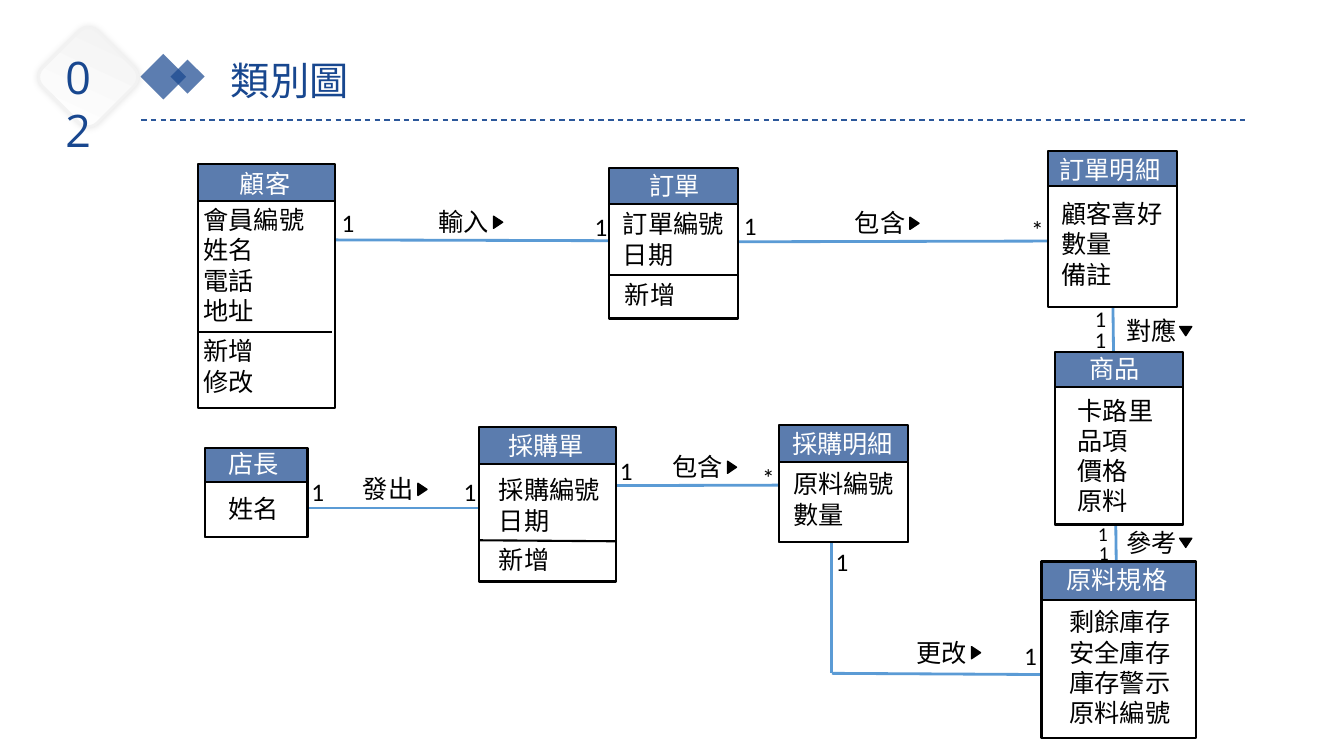
"""Build the class diagram slide of the ordering and purchasing system."""
from lxml.etree import SubElement
from pptx import Presentation
from pptx.dml.color import RGBColor
from pptx.enum.dml import MSO_LINE_DASH_STYLE as Dash
from pptx.enum.shapes import MSO_CONNECTOR as Link, MSO_SHAPE as Preset
from pptx.enum.text import MSO_ANCHOR as Anchor, MSO_AUTO_SIZE as AutoSize, PP_ALIGN as Align
from pptx.oxml.ns import qn
from pptx.util import Inches, Pt

THEME = {
    "navy": RGBColor.from_string("18478F"),
    "header": RGBColor.from_string("5B7CAE"),
    "rule": RGBColor.from_string("2B579A"),
    "link": RGBColor.from_string("5B9BD5"),
    "pale": RGBColor.from_string("F2F2F2"),
    "black": RGBColor.from_string("000000"),
    "white": RGBColor.from_string("FFFFFF"),
    "title": 28, "number": 32, "body": 18, "small": 16, "tiny": 14,
    "heading_font": "Open Sans", "body_font": "Calibri",
}

deck = Presentation()
deck.slide_width, deck.slide_height = Inches(13.33), Inches(7.5)
slide = deck.slides.add_slide(deck.slide_layouts[5])


def add_box(preset, frame, fill, outline=None, weight=0, rotation=0):
    box = slide.shapes.add_shape(preset, *map(Inches, frame))
    box.shadow.inherit = False
    box.rotation = rotation
    box.fill.solid()
    box.fill.fore_color.rgb = THEME[fill]
    if outline:
        box.line.color.rgb = THEME[outline]
        box.line.width = Pt(weight)
    else:
        box.line.fill.background()
    return box


def add_line(ends, color, weight):
    line = slide.shapes.add_connector(Link.STRAIGHT, *map(Inches, ends))
    line.line.color.rgb = THEME[color]
    line.line.width = Pt(weight)
    SubElement(line._element.spPr, qn("a:effectLst"))
    return line


for diamond in [(1.46, 0.6, 0.32, 0.32), (1.74, 0.64, 0.24, 0.24)]:
    accent = add_box(Preset.RECTANGLE, diamond, "navy", rotation=225)
    tint = accent._element.spPr.find(qn("a:solidFill"))[0]
    SubElement(tint, qn("a:alpha"), val="70000")

badge = add_box(Preset.ROUNDED_RECTANGLE, (0.49, 0.38, 0.77, 0.77), "white", "pale", 2, 45)
badge.fill.gradient()
badge.fill.gradient_angle = 110
for stop, (position, shade) in zip(badge.fill.gradient_stops, [(0, "white"), (1, "pale")]):
    stop.position = position
    stop.color.rgb = THEME[shade]
effects = badge._element.spPr.find(qn("a:effectLst"))
glow = SubElement(effects, qn("a:outerShdw"), blurRad=str(Pt(5)), dist="0", dir="0",
                  algn="ctr", rotWithShape="0")
SubElement(SubElement(glow, qn("a:srgbClr"), val="000000"), qn("a:alpha"), val="11000")

add_line((1.4, 1.19, 12.35, 1.19), "rule", 1).line.dash_style = Dash.DASH

associations = [
    (11.03, 2.39, 11.09, 7.02), (8.25, 6.68, 11.74, 6.7), (8.25, 4.7, 8.25, 6.68),
    (6.75, 2.4, 11.1, 2.39), (3.31, 2.38, 6.67, 2.39), (5.2, 4.82, 8.86, 4.81),
    (2.64, 5.04, 4.88, 5.04),
]
for ends in associations:
    add_line(ends, "link", 2)

classes = [
    ("顧客", (1.96, 1.63, 1.36, 1.72), 1.99, 2.06, (2.28, 1.62, 0.72, 0.4),
     "會員編號\n姓名\n電話\n地址", (1.92, 1.98, 1.36, 1.31)),
    ("訂單", (6.04, 1.67, 1.28, 1.1), 2.02, 1.14, (6.34, 1.64, 0.72, 0.4),
     "訂單編號\n日期", (6.08, 2.02, 1.36, 0.71)),
    ("訂單明細", (10.39, 1.5, 1.28, 1.52), 1.85, 1.2, (10.41, 1.48, 1.39, 0.4),
     "顧客喜好\n數量\n備註", (10.43, 1.92, 1.36, 1.01)),
    ("商品", (10.46, 3.49, 1.27, 1.72), 3.84, 1.36, (10.71, 3.46, 0.77, 0.4),
     "卡路里\n品項\n價格\n原料", (10.59, 3.87, 1.24, 1.31)),
    ("原料規格", (10.33, 5.57, 1.53, 1.61), 5.95, 1.37, (10.48, 5.55, 1.28, 0.4),
     "剩餘庫存\n安全庫存\n庫存警示\n原料編號", (10.51, 5.97, 1.22, 1.32)),
    ("店長", (2.03, 4.44, 1.02, 0.89), 4.78, 0.55, (2.17, 4.4, 0.8, 0.4),
     "姓名", (2.17, 4.84, 0.8, 0.4)),
    ("採購明細", (7.73, 4.22, 1.28, 1.16), 4.58, 0.8, (7.76, 4.2, 1.39, 0.4),
     "原料編號數量", (7.77, 4.6, 1.36, 0.71)),
    ("採購單", (4.75, 4.24, 1.36, 1.19), 4.6, 1.17, (4.94, 4.22, 0.98, 0.4),
     "採購編號\n日期", (4.85, 4.66, 1.36, 0.71)),
]
operations = [
    ("新增\n修改", (1.92, 3.28, 0.76, 0.71), (1.96, 3.29, 3.29, 3.29)),
    ("新增", (6.1, 2.72, 0.95, 0.41), (6.04, 2.73, 7.32, 2.73)),
    ("新增", (4.85, 5.35, 0.95, 0.41), (4.75, 5.36, 6.1, 5.37)),
]
verbs = [
    ("輸入", 4.25, 2.0, 90), ("發出", 3.5, 4.65, 90), ("更改", 8.99, 6.27, 90),
    ("對應", 11.07, 3.08, 180), ("包含", 8.38, 2.01, 90), ("包含", 6.57, 4.43, 90),
    ("參考", 11.07, 5.18, 180),
]
multiplicities = [
    ("1", 3.29, 2.01, "body"), ("1", 2.99, 4.68, "body"), ("1", 5.8, 2.05, "body"),
    ("1", 4.5, 4.68, "body"), ("1", 7.28, 2.04, "body"), ("1", 6.05, 4.47, "body"),
    ("*", 10.13, 2.08, "body"), ("1", 8.19, 5.37, "body"), ("1", 10.06, 6.3, "body"),
    ("*", 7.46, 4.54, "body"), ("1", 10.76, 2.98, "small"), ("1", 10.76, 3.19, "small"),
    ("1", 10.79, 5.13, "tiny"), ("1", 10.8, 5.32, "tiny"),
]

heading = "類別圖"
wording = [
    (heading, (2.19, 0.51, 3.8, 0.57), "title", "navy", "heading_font"),
    ("02", (0.55, 0.44, 0.66, 0.64), "number", "navy", "heading_font"),
]
for name, header, body_top, body_height, name_frame, attributes, attribute_frame in classes:
    left, _, width, _ = header
    add_box(Preset.RECTANGLE, header, "header", "black", 1.5)
    add_box(Preset.RECTANGLE, (left, body_top, width, body_height), "white", "black", 1.5)
    wording += [(name, name_frame, "body", "white", "body_font"),
                (attributes, attribute_frame, "body", "black", "body_font")]

for operation, frame, divider in operations:
    add_line(divider, "black", 1.5)
    wording.append((operation, frame, "body", "black", "body_font"))

for verb, left, top, direction in verbs:
    pointer = (left + 0.63, top + 0.16, 0.12, 0.09)
    add_box(Preset.ISOSCELES_TRIANGLE, pointer, "black", "black", 1, direction)
    wording.append((verb, (left, top, 0.79, 0.4), "body", "black", "body_font"))

for count, left, top, size in multiplicities:
    wording.append((count, (left, top, 0.24, 0.4), size, "black", "body_font"))

for words, frame, size, color, font in wording:
    lengths = [Inches(length) for length in frame]
    holder = slide.shapes.title if words == heading else slide.shapes.add_textbox(*lengths)
    for side, length in zip(("left", "top", "width", "height"), lengths):
        setattr(holder, side, length)
    text = holder.text_frame
    text.text = words
    layout = {"word_wrap": True, "auto_size": AutoSize.SHAPE_TO_FIT_TEXT,
              "vertical_anchor": Anchor.TOP}
    for key, value in layout.items():
        setattr(text, key, value)
    for paragraph in text.paragraphs:
        paragraph.alignment = Align.LEFT
        letters = paragraph.runs[0].font
        letters.color.rgb = THEME[color]
        for key, value in {"name": THEME[font], "size": Pt(THEME[size])}.items():
            setattr(letters, key, value)

deck.save("out.pptx")
